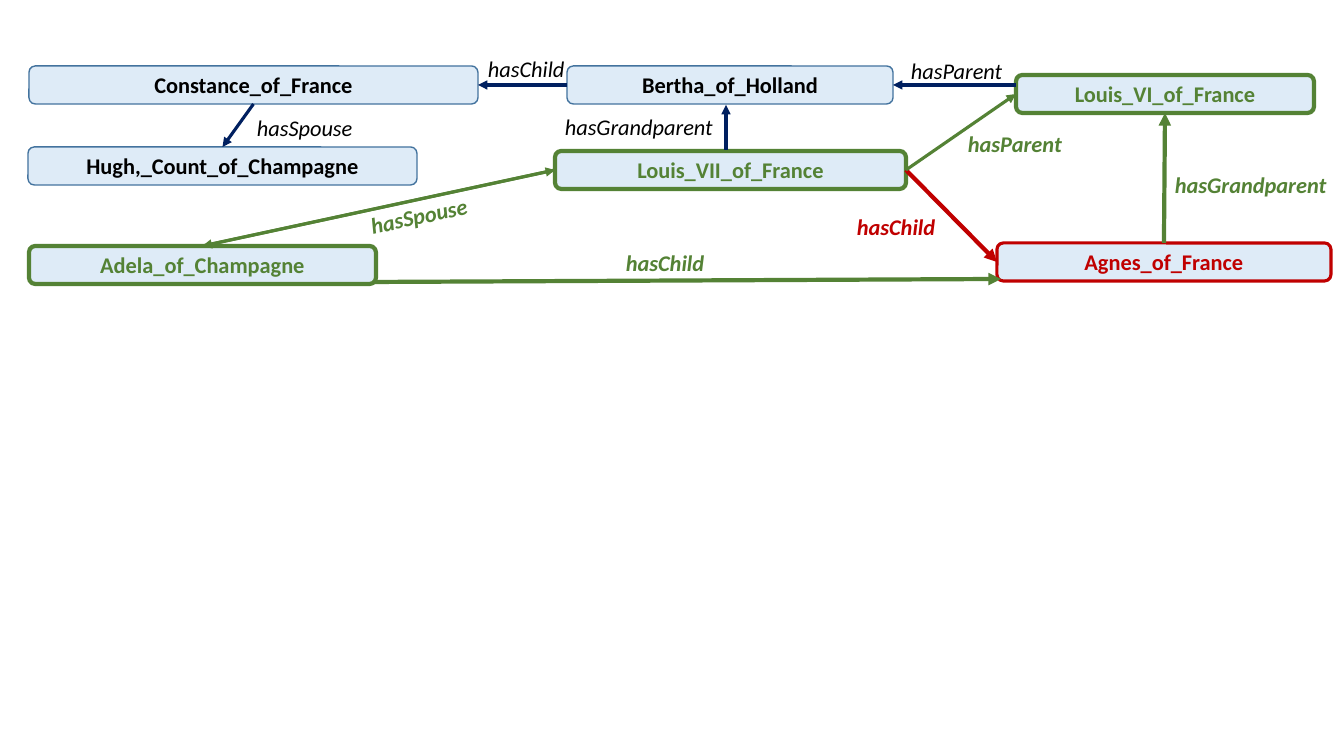
from lxml import etree
from pptx import Presentation
from pptx import util as u
from pptx.dml.color import RGBColor
from pptx.enum import shapes, text
from pptx.oxml.ns import qn

PIXELS_PER_INCH = 100.8
BLACK = RGBColor(0x00, 0x00, 0x00)
NAVY = RGBColor(0x00, 0x20, 0x60)
STEEL = RGBColor(0x43, 0x73, 0x9E)
GREEN = RGBColor(0x54, 0x82, 0x35)
RED = RGBColor(0xC0, 0x00, 0x00)
PALE_BLUE = RGBColor(0xDE, 0xEB, 0xF7)

BOX_HEIGHT = 38
LABEL_HEIGHT = 37
TOP, LEFT, BOTTOM, RIGHT = range(4)  # connection sites of a box


def px(length):
    """Turn pixels into EMU."""
    return u.Inches(length / PIXELS_PER_INCH)


class GraphSlide:
    """Holds the text style, the slide and the people drawn on it."""

    font_name = "Calibri"
    font_size = u.Pt(16)

    def __init__(self, presentation):
        """Add a blank slide."""
        self.slide = presentation.slides.add_slide(presentation.slide_layouts[6])
        self.people = {}

    def set_words(self, shape, words, color, bold, italic=False):
        """Put one styled paragraph into a shape and return it."""
        paragraph = shape.text_frame.paragraphs[0]
        paragraph.text = words
        font = paragraph.font
        font.name, font.size = self.font_name, self.font_size
        font.bold, font.italic = bold, italic
        font.color.rgb = color
        return paragraph

    def person(self, name, left, top, width, color, outline, weight):
        """Draw a rounded box with a person's name."""
        box = self.slide.shapes.add_shape(
            shapes.MSO_SHAPE.ROUNDED_RECTANGLE,
            px(left), px(top), px(width), px(BOX_HEIGHT))
        box.shadow.inherit = False
        box.fill.solid()
        box.fill.fore_color.rgb = PALE_BLUE
        box.line.color.rgb = outline
        box.line.width = u.Pt(weight)
        box.text_frame.vertical_anchor = text.MSO_ANCHOR.MIDDLE
        self.set_words(box, name, color, True).alignment = text.PP_ALIGN.CENTER
        self.people[name] = box

    def relation(self, start, end, color, weight):
        """Draw an arrow; each end is (person, site) or (x, y) in pixels."""
        ends = [(0, 0) if isinstance(point[0], str) else point
                for point in (start, end)]
        arrow = self.slide.shapes.add_connector(
            shapes.MSO_CONNECTOR.STRAIGHT,
            *(px(value) for point in ends for value in point))
        for point, connect in ((start, arrow.begin_connect),
                               (end, arrow.end_connect)):
            if isinstance(point[0], str):
                connect(self.people[point[0]], point[1])
        arrow.line.color.rgb = color
        arrow.line.width = u.Pt(weight)
        properties = arrow.element.spPr
        etree.SubElement(properties.find(qn("a:ln")), qn("a:tailEnd"),
                         type="triangle")
        etree.SubElement(properties, qn("a:effectLst"))

    def label(self, words, left, top, width, color, rotation=0, wrap=False):
        """Add the name of a relation; coloured labels are bold."""
        box = self.slide.shapes.add_textbox(
            px(left), px(top), px(width), px(LABEL_HEIGHT))
        box.rotation = rotation
        box.text_frame.word_wrap = wrap
        box.text_frame.auto_size = text.MSO_AUTO_SIZE.SHAPE_TO_FIT_TEXT
        self.set_words(box, words, color, color != BLACK, italic=True)


CONSTANCE, BERTHA = "Constance_of_France", "Bertha_of_Holland"
HUGH, ADELA = "Hugh,_Count_of_Champagne", "Adela_of_Champagne"
LOUIS_VI, LOUIS_VII = "Louis_VI_of_France", "Louis_VII_of_France"
AGNES = "Agnes_of_France"

PEOPLE = [
    (LOUIS_VI, 1016, 75, 298, GREEN, GREEN, 3),
    (AGNES, 997, 243, 334, RED, RED, 2.25),
    (LOUIS_VII, 555, 151, 351, GREEN, GREEN, 3),
    (ADELA, 29, 246, 347, GREEN, GREEN, 3),
    (HUGH, 28, 147, 389, BLACK, STEEL, 1),
    (CONSTANCE, 29, 66, 449, BLACK, STEEL, 1),
    (BERTHA, 567, 66, 326, BLACK, STEEL, 1),
]

RELATIONS = [
    ((LOUIS_VII, LEFT), (ADELA, TOP), GREEN, 2.25),
    ((ADELA, TOP), (LOUIS_VII, LEFT), GREEN, 2.25),
    ((LOUIS_VII, RIGHT), (AGNES, LEFT), RED, 3),
    ((LOUIS_VII, RIGHT), (LOUIS_VI, LEFT), GREEN, 2.25),
    ((AGNES, TOP), (LOUIS_VI, BOTTOM), GREEN, 3),
    ((375, 282), (1001, 279), GREEN, 3),
    ((726, 150), (726, 105), NAVY, 2.25),
    ((BERTHA, LEFT), (CONSTANCE, RIGHT), NAVY, 2.25),
    ((1016, 85), (BERTHA, RIGHT), NAVY, 2.25),
    ((CONSTANCE, BOTTOM), (HUGH, TOP), NAVY, 2.25),
]

LABELS = [
    ("hasSpouse", 360, 197, 120, GREEN, 347.6),
    ("hasChild", 847, 208, 100, RED),
    ("hasParent", 958, 125, 116, GREEN),
    ("hasGrandparent", 555, 108, 170, BLACK),
    ("hasSpouse", 247, 109, 117, BLACK),
    ("hasGrandparent", 1165, 166, 174, GREEN),
    ("hasChild", 478, 50, 98, BLACK),
    ("hasChild", 616, 244, 237, GREEN, 0, True),
    ("hasParent", 901, 52, 113, BLACK),
]


def main():
    """Build the family graph and save it."""
    presentation = Presentation()
    presentation.slide_width, presentation.slide_height = px(1344), px(756)
    graph = GraphSlide(presentation)
    for draw, rows in ((graph.person, PEOPLE), (graph.relation, RELATIONS),
                       (graph.label, LABELS)):
        for row in rows:
            draw(*row)
    presentation.save("out.pptx")


main()
